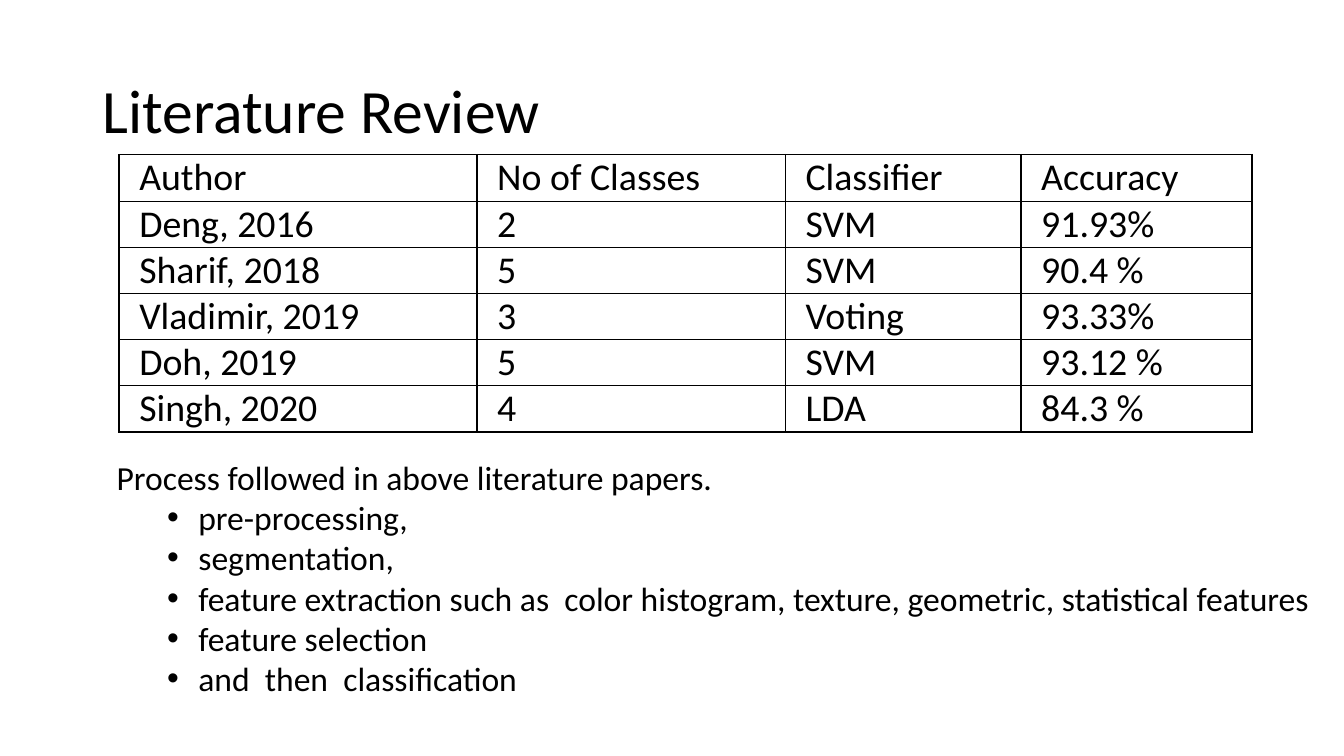
from lxml import etree
from pptx import Presentation
from pptx import util as u
from pptx.dml.color import RGBColor
from pptx.enum import text
from pptx.oxml.ns import qn


def rgb(code):
    """Turn a hex string into a colour."""
    return RGBColor.from_string(code)


def set_all(obj, values):
    """Set each attribute named in a dict."""
    for name, value in values.items():
        setattr(obj, name, value)


def place(*lengths):
    """Return left, top, width and height, given in centimetres."""
    return dict(zip(("left", "top", "width", "height"), map(u.Cm, lengths)))


class Deck:
    """Holds the style and the current slide."""

    font, ink = "Calibri", "000000"

    def __init__(self, width, height):
        """Start a presentation with one title-only slide."""
        self.prs = Presentation()
        set_all(self.prs, {"slide_width": u.Cm(width), "slide_height": u.Cm(height)})
        self.s = self.prs.slides.add_slide(self.prs.slide_layouts[5])

    def add_words(self, p, words, size, **fmt):
        """Put one styled run in a paragraph."""
        r = p.add_run()
        r.text = words
        set_all(r.font, {"name": self.font, "size": u.Pt(size), "bold": False})
        r.font.color.rgb = rgb(self.ink)
        set_all(p, fmt)

    def title(self, words, box, size):
        """Move and fill the title placeholder."""
        sp = self.s.shapes.title
        set_all(sp, box)
        tf = sp.text_frame
        set_all(tf, {"vertical_anchor": text.MSO_ANCHOR.MIDDLE, "word_wrap": True,
                     "auto_size": text.MSO_AUTO_SIZE.NONE})
        self.add_words(tf.paragraphs[0], words, size,
                       alignment=text.PP_ALIGN.LEFT, line_spacing=0.9)

    def border(self, cell, width=1):
        """Draw a solid line on all four sides of a cell."""
        tcPr = cell._tc.get_or_add_tcPr()
        for i, side in enumerate("LRTB"):
            ln = etree.Element(qn(f"a:ln{side}"), w=str(u.Pt(width)))
            fill = etree.SubElement(ln, qn("a:solidFill"))
            etree.SubElement(fill, qn("a:srgbClr"), val=self.ink)
            tcPr.insert(i, ln)

    def table(self, rows, box, widths, heights, size):
        """Add a plain ruled table."""
        t = self.s.shapes.add_table(len(rows), len(widths), **box).table
        set_all(t, {"first_row": False, "horz_banding": False})
        for col, width in zip(t.columns, widths):
            col.width = u.Cm(width)
        for row, height, values in zip(t.rows, heights, rows):
            row.height = u.Cm(height)
            for cell, words in zip(row.cells, values):
                set_all(cell, {"margin_left": u.Cm(0.51), "margin_right": u.Cm(0.51),
                               "margin_top": 0, "margin_bottom": 0})
                cell.fill.background()
                self.border(cell)
                self.add_words(cell.text_frame.paragraphs[0], words, size,
                               alignment=text.PP_ALIGN.JUSTIFY)

    def bullet(self, p, left, hang):
        """Give a paragraph a hanging bullet."""
        pPr = p._p.get_or_add_pPr()
        pPr.set("marL", str(u.Cm(left)))
        pPr.set("indent", str(-u.Cm(hang)))
        etree.SubElement(pPr, qn("a:buFont"), typeface="Arial")
        etree.SubElement(pPr, qn("a:buChar"), char="•")

    def bullet_list(self, lead, items, box, size):
        """Add a text box with a lead line and bullets below it."""
        tf = self.s.shapes.add_textbox(**box).text_frame
        set_all(tf, {"word_wrap": True, "auto_size": text.MSO_AUTO_SIZE.SHAPE_TO_FIT_TEXT})
        self.add_words(tf.paragraphs[0], lead, size)
        for item in items:
            p = tf.add_paragraph()
            self.add_words(p, item, size, level=1)
            self.bullet(p, 2.06, 0.79)


deck = Deck(33.87, 19.05)
deck.title("Literature Review", place(2.33, 1.02, 29.21, 3.68), 44)

studies = [
    ("Author", "No of Classes", "Classifier", "Accuracy"),
    ("Deng, 2016", "2", "SVM", "91.93%"),
    ("Sharif, 2018", "5", "SVM", "90.4 %"),
    ("Vladimir, 2019", "3", "Voting", "93.33%"),
    ("Doh, 2019", "5", "SVM", "93.12 %"),
    ("Singh, 2020", "4", "LDA", "84.3 %"),
]
deck.table(studies, place(3, 3.89, 28.55, 6.91), [9.02, 7.77, 5.94, 5.82],
           [1.19] + [1.14] * 5, 27)

steps = [
    "pre-processing,",
    "segmentation,",
    "feature extraction such as  color histogram, texture, geometric, statistical features",
    "feature selection",
    "and  then  classification",
]
deck.bullet_list("Process followed in above literature papers.", steps,
                 place(2.69, 11.38, 30.68, 6.4), 24)

deck.prs.save("out.pptx")
